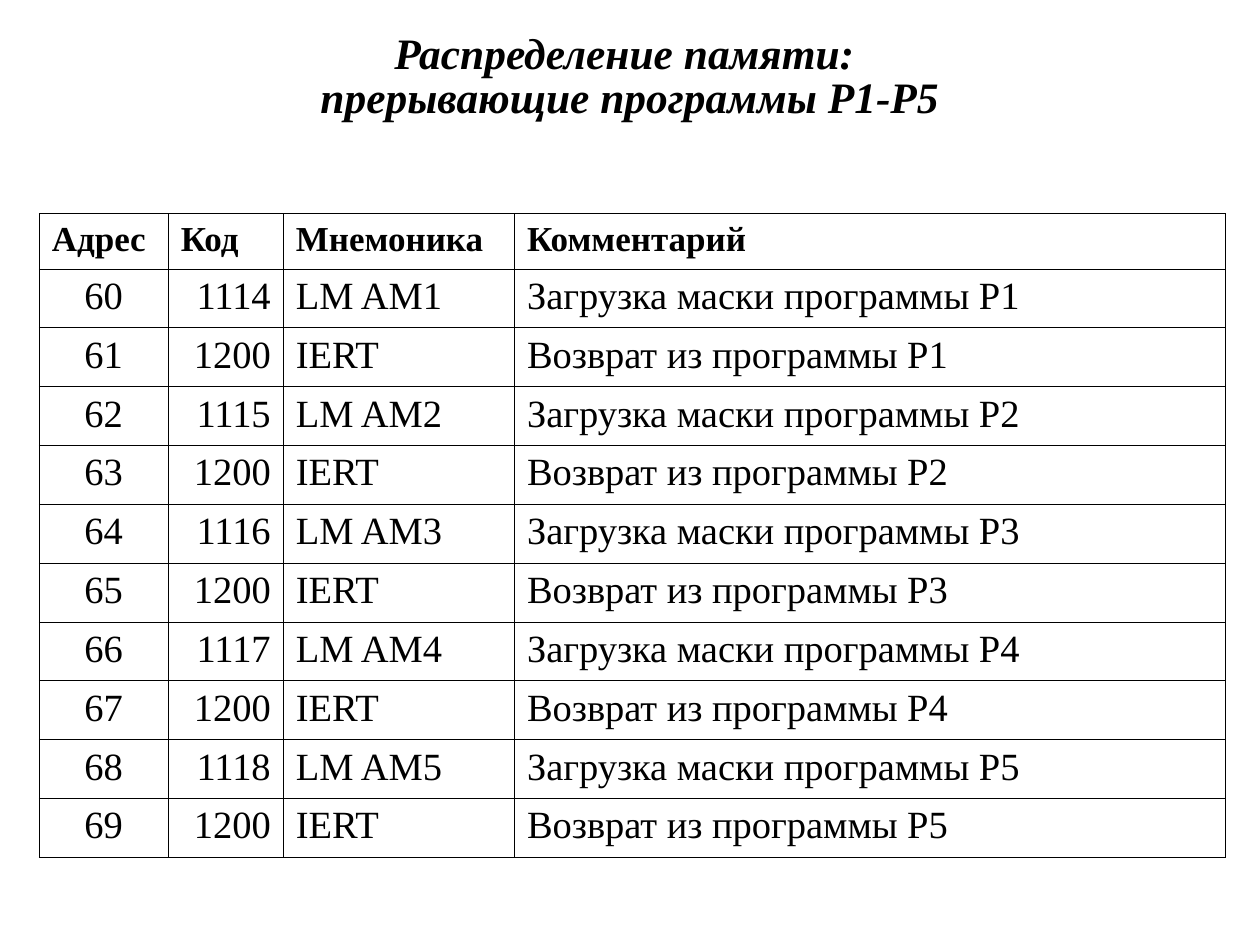
from lxml import etree
from pptx import Presentation
from pptx.dml.color import RGBColor
from pptx.enum.text import MSO_ANCHOR, PP_ALIGN
from pptx.oxml.ns import qn
from pptx.util import Cm, Pt

LEFT, CENTER, RIGHT, JUSTIFY = PP_ALIGN.LEFT, PP_ALIGN.CENTER, PP_ALIGN.RIGHT, PP_ALIGN.JUSTIFY
MIDDLE = MSO_ANCHOR.MIDDLE

FONT = "Times New Roman"
BLACK = "000000"
TITLE = ["Распределение памяти: ", "прерывающие программы Р1-Р5"]
HEADER = ["Адрес", "Код", "Мнемоника", "Комментарий"]
ROWS = [
    ("60", "1114", "LM AM1", "Загрузка маски программы P1"),
    ("61", "1200", "IERT", "Возврат из программы P1"),
    ("62", "1115", "LM AM2", "Загрузка маски программы P2"),
    ("63", "1200", "IERT", "Возврат из программы P2"),
    ("64", "1116", "LM AM3", "Загрузка маски программы P3"),
    ("65", "1200", "IERT", "Возврат из программы P3"),
    ("66", "1117", "LM AM4", "Загрузка маски программы P4"),
    ("67", "1200", "IERT", "Возврат из программы P4"),
    ("68", "1118", "LM AM5", "Загрузка маски программы P5"),
    ("69", "1200", "IERT", "Возврат из программы P5"),
]
COL_WIDTHS = [2.6, 2.32, 4.66, 14.34]
BODY_ALIGN = [CENTER, RIGHT, LEFT, JUSTIFY]
HEADER_ALIGN = [JUSTIFY] * len(HEADER)
TABLE_LEFT, TABLE_TOP, TABLE_HEIGHT = 0.79, 4.31, 12.96
HEADER_HEIGHT = 1.11


def rgb(color):
    return RGBColor.from_string(color)


def add_run(p, text, size, bold=False, italic=False):
    r = p.add_run()
    r.text = text
    r.font.name = FONT
    r.font.size = Pt(size)
    r.font.bold = bold
    r.font.italic = italic
    r.font.color.rgb = rgb(BLACK)


def add_borders(cell, width=0.45):
    tcPr = cell._tc.get_or_add_tcPr()
    for i, side in enumerate(("a:lnL", "a:lnR", "a:lnT", "a:lnB")):
        ln = etree.Element(qn(side), w=str(Pt(width)))
        fill = etree.SubElement(ln, qn("a:solidFill"))
        etree.SubElement(fill, qn("a:srgbClr"), val=BLACK)
        tcPr.insert(i, ln)


def add_title(s):
    tf = s.shapes.add_textbox(0, Cm(0.33), Cm(25.4), Cm(2.49)).text_frame
    tf.word_wrap = True
    tf.vertical_anchor = MIDDLE
    p = tf.paragraphs[0]
    p.alignment = CENTER
    p.line_spacing = 0.84
    for i, line in enumerate(TITLE):
        if i:
            p.add_line_break()
        add_run(p, line, 24.8, bold=True, italic=True)


def add_memory_table(s):
    table = s.shapes.add_table(
        len(ROWS) + 1, len(HEADER), Cm(TABLE_LEFT), Cm(TABLE_TOP),
        Cm(sum(COL_WIDTHS)), Cm(TABLE_HEIGHT)).table
    table.first_row = False
    table.horz_banding = False
    for col, width in zip(table.columns, COL_WIDTHS):
        col.width = Cm(width)
    body_height = (TABLE_HEIGHT - HEADER_HEIGHT) / len(ROWS)
    for i, texts in enumerate([HEADER] + ROWS):
        header = i == 0
        row = table.rows[i]
        row.height = Cm(HEADER_HEIGHT if header else body_height)
        aligns = HEADER_ALIGN if header else BODY_ALIGN
        for cell, text, align in zip(row.cells, texts, aligns):
            cell.fill.background()
            add_borders(cell)
            p = cell.text_frame.paragraphs[0]
            p.alignment = align
            add_run(p, text, 20 if header else 22, bold=header)


def main():
    prs = Presentation()
    prs.slide_width, prs.slide_height = Cm(25.4), Cm(19.05)
    s = prs.slides.add_slide(prs.slide_layouts[6])
    add_title(s)
    add_memory_table(s)
    prs.save("out.pptx")


if __name__ == "__main__":
    main()
